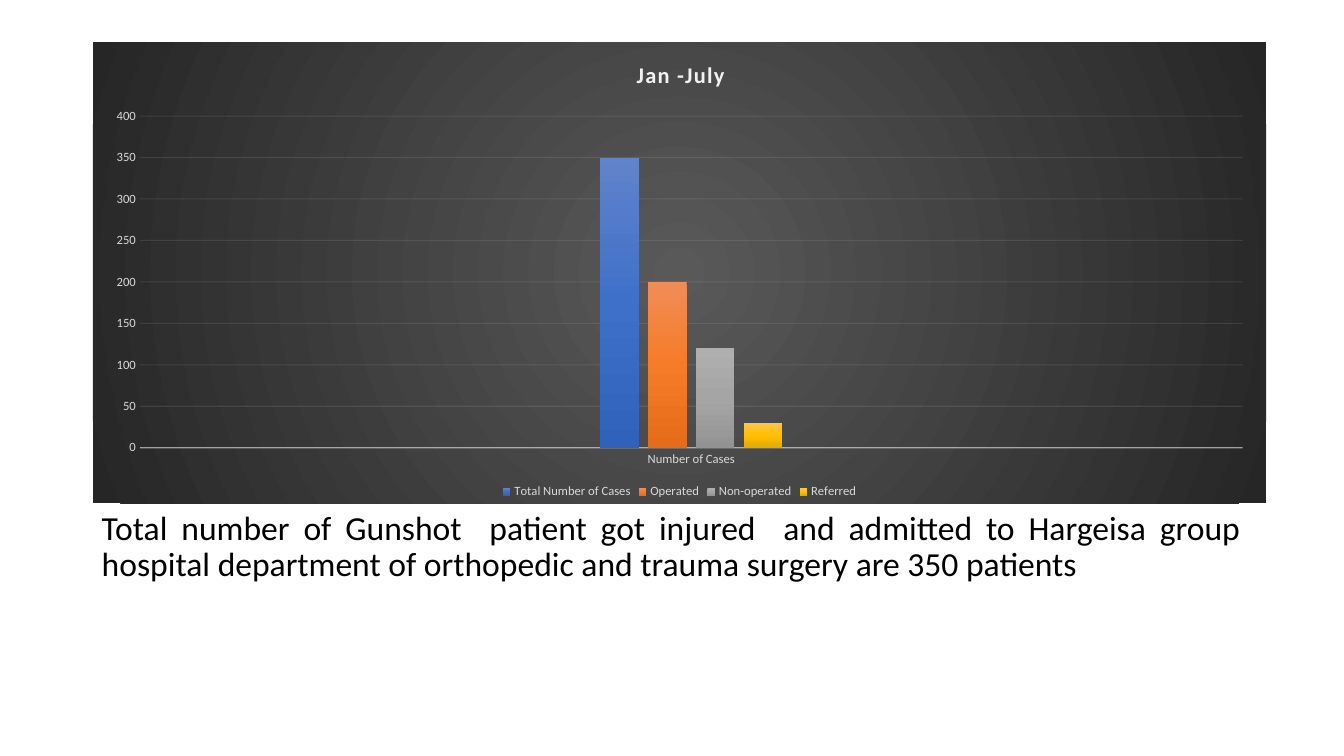
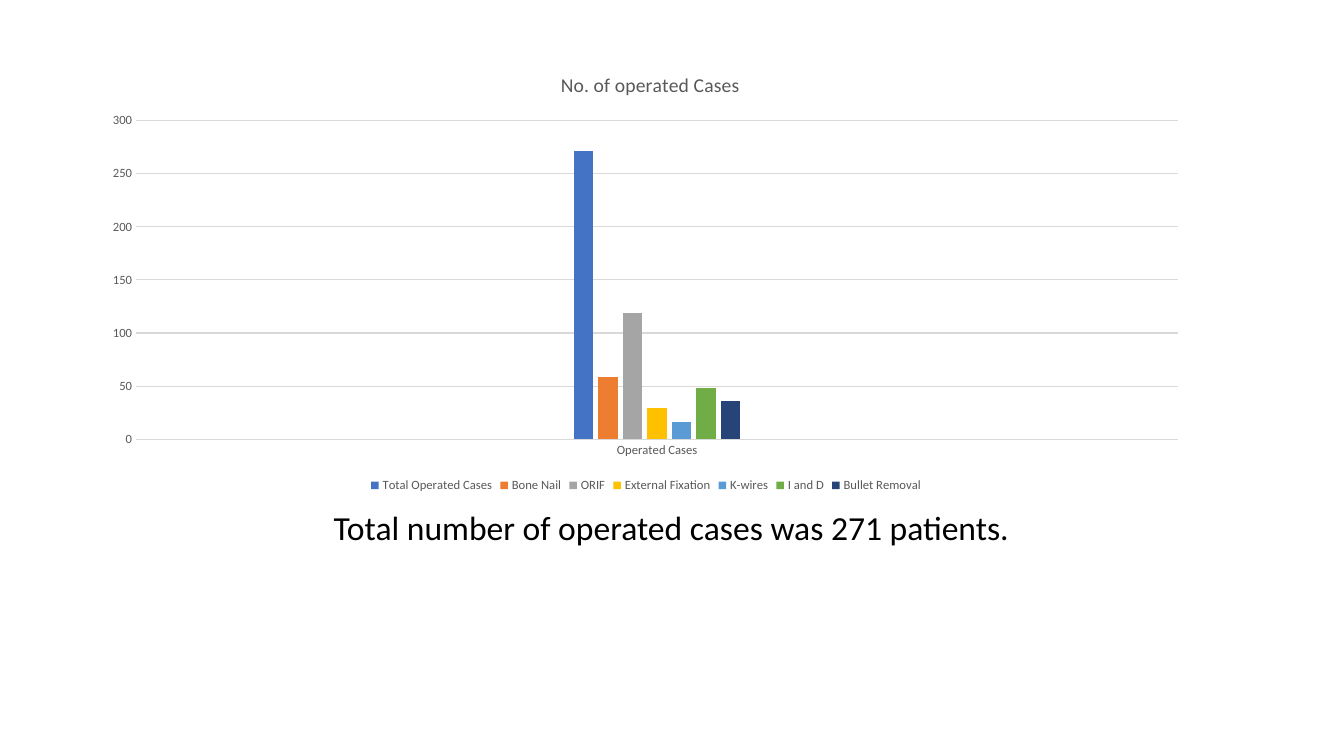
from pptx import Presentation
from pptx.chart.data import CategoryChartData as ChartData
from pptx.dml.color import RGBColor
from pptx.enum.chart import XL_CHART_TYPE as Kind, XL_LEGEND_POSITION as Spot, XL_TICK_MARK as Tick
from pptx.enum.text import MSO_AUTO_SIZE as Fit, PP_ALIGN as Align
from pptx.oxml import parse_xml
from pptx.oxml.ns import nsdecls
from pptx.util import Cm, Pt

FONT = "Calibri"
BLACK = RGBColor(0x00, 0x00, 0x00)
PALE = RGBColor(0xF2, 0xF2, 0xF2)
SILVER = RGBColor(0xD9, 0xD9, 0xD9)
SLATE = RGBColor(0x59, 0x59, 0x59)
COAL = RGBColor(0x26, 0x26, 0x26)
BLUE = RGBColor(0x44, 0x72, 0xC4)
ORANGE = RGBColor(0xED, 0x7D, 0x31)
GREY = RGBColor(0xA5, 0xA5, 0xA5)
GOLD = RGBColor(0xFF, 0xC0, 0x00)
SKY = RGBColor(0x5B, 0x9B, 0xD5)
GREEN = RGBColor(0x70, 0xAD, 0x47)
NAVY = RGBColor(0x26, 0x44, 0x78)

# Top, middle and bottom colour of each shaded column
SHADES = [
    (RGBColor(0x61, 0x83, 0xCB), RGBColor(0x3E, 0x70, 0xCA), RGBColor(0x30, 0x62, 0xBB)),
    (RGBColor(0xF1, 0x8C, 0x57), RGBColor(0xF6, 0x7B, 0x28), RGBColor(0xE5, 0x6C, 0x19)),
    (RGBColor(0xAF, 0xAF, 0xAF), GREY, RGBColor(0x93, 0x93, 0x93)),
    (RGBColor(0xFF, 0xC6, 0x4B), GOLD, RGBColor(0xE3, 0xAB, 0x00)),
]
FLAT = [BLUE, ORANGE, GREY, GOLD, SKY, GREEN, NAVY]
DOWN = '<a:lin ang="5400000" scaled="0"/>'
ROUND = '<a:path path="circle"><a:fillToRect l="50000" t="50000" r="50000" b="50000"/></a:path>'


# XML helpers
def blend(tones, way):
    """Return a gradient fill with evenly spaced stops."""
    step = 100000 // (len(tones) - 1)
    stops = "".join(f'<a:gs pos="{i * step}"><a:srgbClr val="{tone}"/></a:gs>'
                    for i, tone in enumerate(tones))
    return f'<a:gradFill {nsdecls("a")} rotWithShape="1"><a:gsLst>{stops}</a:gsLst>{way}</a:gradFill>'


def fade(chart, query, share):
    for tone in chart.element.xpath(query):
        tone.append(parse_xml(f'<a:alpha {nsdecls("a")} val="{share * 1000}"/>'))


def place(part, **spots):
    """Give a chart part a fixed place, in shares of the chart."""
    for old in part.xpath("c:layout"):
        part.remove(old)
    inner = '<c:layoutTarget val="inner"/>' if "w" in spots else ""
    modes = "".join(f'<c:{key}Mode val="edge"/>' for key in "xy")
    sizes = "".join(f'<c:{key} val="{val}"/>' for key, val in spots.items())
    part.insert(len(part.xpath("c:tx")), parse_xml(
        f'<c:layout {nsdecls("c")}><c:manualLayout>{inner}{modes}{sizes}'
        '</c:manualLayout></c:layout>'))


def back(chart, fill):
    chart.element.xpath("c:txPr")[0].addprevious(parse_xml(
        f'<c:spPr {nsdecls("c", "a")}>{fill}<a:ln><a:noFill/></a:ln></c:spPr>'))


# Shared elements
def style(font, size, tone, bold=False):
    font.name, font.size, font.bold = FONT, Pt(size), bold
    font.color.rgb = tone


def add_note(slide, text, align):
    slide.shapes.title.element.getparent().remove(slide.shapes.title.element)
    body = slide.placeholders[1]
    body.left, body.top, body.width, body.height = Cm(2.31), Cm(12.75), Cm(29.21), Cm(4.17)
    frame = body.text_frame
    frame.word_wrap, frame.auto_size = True, Fit.NONE
    para = frame.paragraphs[0]
    props = para._p.get_or_add_pPr()
    props.set("marL", "0")
    props.set("indent", "0")
    props.append(parse_xml(f'<a:buNone {nsdecls("a")}/>'))
    para.alignment, para.line_spacing, para.space_before = align, 0.9, Pt(0)
    run = para.add_run()
    run.text = text
    style(run.font, 24, BLACK)


def add_title(chart, text, size, tone, bold, left):
    chart.has_title = True
    run = chart.chart_title.text_frame.paragraphs[0].add_run()
    run.text = text
    style(run.font, size, tone, bold)
    chart.chart_title.include_in_layout = False
    place(chart.element.xpath("c:chart/c:title")[0], x=left, y=0.03)


def add_axes(chart, tone, line, width, top):
    cat, val = chart.category_axis, chart.value_axis
    for axis in (cat, val):
        axis.major_tick_mark = axis.minor_tick_mark = Tick.NONE
        style(axis.tick_labels.font, 9, tone)
    val.minimum_scale, val.maximum_scale, val.major_unit = 0, top, 50
    val.format.line.fill.background()
    val.has_major_gridlines = True
    for rule, size in ((cat.format.line, width), (val.major_gridlines.format.line, 0.75)):
        rule.width = Pt(size)
        rule.color.rgb = line


def add_bars(slide, box, label, rows, gap, lap, tones):
    data = ChartData()
    data.categories = ["", "", label, "", ""]
    for name, count in rows:
        data.add_series(name, [None, None, count, None, None])
    chart = slide.shapes.add_chart(Kind.COLUMN_CLUSTERED, *map(Cm, box), data).chart
    style(chart.font, 10, BLACK)
    plot = chart.plots[0]
    plot.gap_width, plot.overlap, plot.vary_by_categories = gap, lap, False
    for bar, tone in zip(plot.series, tones):
        bar.invert_if_negative = False
        bar.format.fill.solid()
        bar.format.fill.fore_color.rgb = tone
    return chart


def add_key(chart, tone):
    chart.has_legend = True
    chart.legend.position = Spot.BOTTOM
    chart.legend.include_in_layout = False
    style(chart.legend.font, 9, tone)


# Slides
def add_cases(slide):
    rows = [("Total Number of Cases", 350), ("Operated", 200),
            ("Non-operated", 120), ("Referred", 30)]
    add_note(slide, "Total number of Gunshot  patient got injured  and admitted to Hargeisa "
             "group hospital department of orthopedic and trauma surgery are 350 patients",
             Align.JUSTIFY)
    chart = add_bars(slide, (2.34, 1.07, 29.57, 11.61), "Number of Cases", rows, 100, -24,
                     [shade[1] for shade in SHADES])
    add_title(chart, "Jan -July", 16, PALE, True, 0.46)
    chart.element.xpath("c:chart/c:title//a:r/a:rPr")[0].set("spc", "100")
    add_axes(chart, SILVER, PALE, 1, 400)
    add_key(chart, SILVER)
    place(chart.element.xpath("c:chart/c:plotArea")[0], x=0.04, y=0.16, w=0.94, h=0.72)
    # Dark ground, shaded columns and faint lines
    back(chart, blend((SLATE, COAL), ROUND))
    fills = chart.element.xpath("//c:ser/c:spPr/a:solidFill")
    for fill, shade in zip(fills, SHADES):
        fill.getparent().replace(fill, parse_xml(blend(shade, DOWN)))
    fade(chart, "//c:catAx/c:spPr//a:srgbClr", 54)
    fade(chart, "//c:majorGridlines//a:srgbClr", 10)


def add_types(slide):
    rows = [("Total Operated Cases", 271), ("Bone Nail", 59), ("ORIF", 119),
            ("External Fixation", 29), ("K-wires", 16), ("I and D", 48), ("Bullet Removal", 36)]
    add_note(slide, "Total number of operated cases was 271 patients.", Align.CENTER)
    chart = add_bars(slide, (2.31, 1.37, 27.94, 11.15), "Operated Cases", rows, 219, -27, FLAT)
    add_title(chart, "No. of operated Cases", 14, SLATE, False, 0.42)
    add_axes(chart, SLATE, SILVER, 0.75, 300)
    add_key(chart, SLATE)
    place(chart.element.xpath("c:chart/c:plotArea")[0], x=0.04, y=0.15, w=0.94, h=0.72)
    back(chart, "<a:noFill/>")


def main():
    deck = Presentation()
    deck.slide_width, deck.slide_height = Cm(33.87), Cm(19.05)
    for build in (add_cases, add_types):
        build(deck.slides.add_slide(deck.slide_layouts[1]))
    deck.save("out.pptx")


if __name__ == "__main__":
    main()
